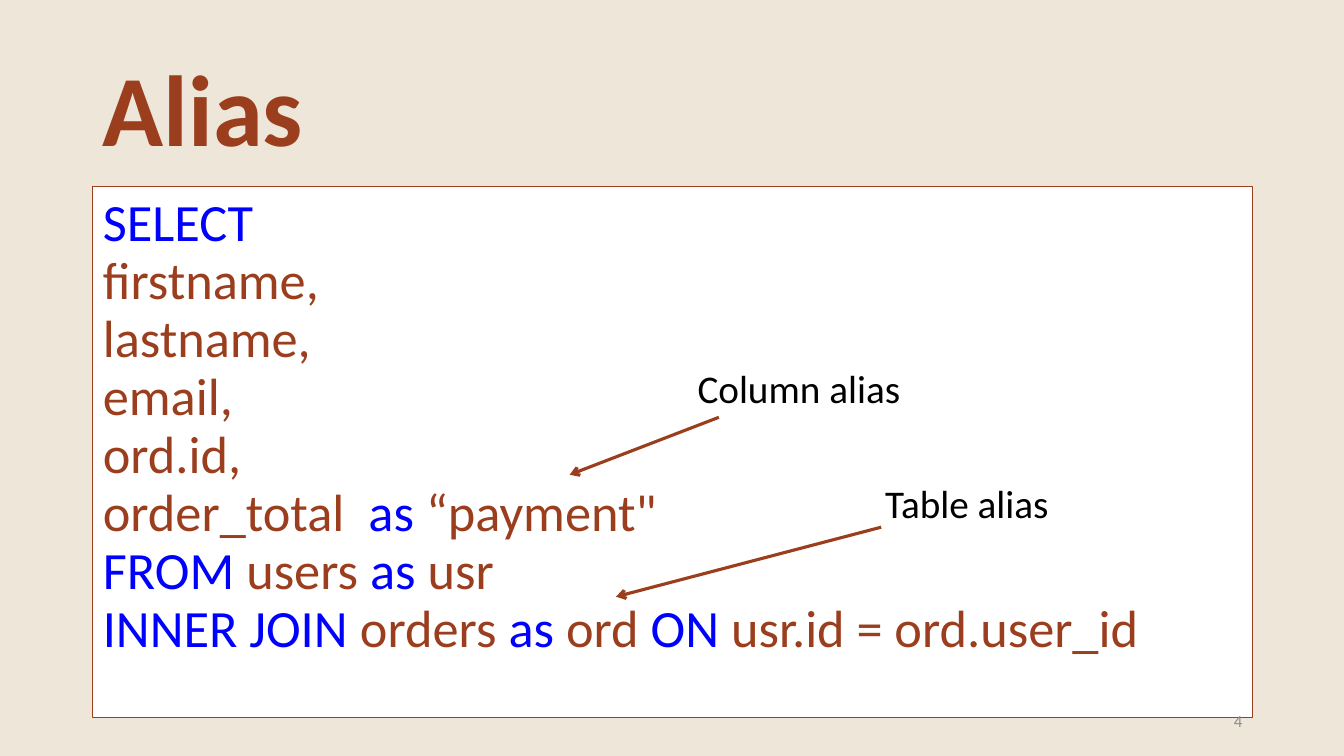
from lxml.etree import SubElement
from pptx import Presentation
from pptx.dml.color import RGBColor
from pptx.enum.shapes import MSO_CONNECTOR, MSO_SHAPE
from pptx.enum.text import MSO_ANCHOR, MSO_AUTO_SIZE, PP_ALIGN
from pptx.oxml.ns import qn
from pptx.util import Inches, Pt

SAND = RGBColor(0xEE, 0xE6, 0xD9)
RUST = RGBColor(0x9B, 0x3E, 0x1E)
BLUE = RGBColor(0x00, 0x00, 0xFF)
WHITE = RGBColor(0xFF, 0xFF, 0xFF)
BLACK = RGBColor(0x00, 0x00, 0x00)
GRAY = RGBColor(0x8C, 0x8C, 0x8C)
FONT = "Calibri"

KEYWORDS = {"SELECT", "FROM", "INNER JOIN", "as", "ON"}
QUERY = [
    ["SELECT"],
    ["firstname,"],
    ["lastname,"],
    ["email,"],
    ["ord.id,"],
    ["order_total", "  as ", "“payment\""],
    ["FROM ", "users", " as ", "usr"],
    ["INNER JOIN ", "orders", " as ", "ord", " ON ", "usr.id = ord.user_id"],
]
# Label, its place, and its arrow's start and end, relative to the panel
CALLOUTS = [
    ("Table alias", (7.76, 2.86), (7.82, 3.38), (5.19, 4.07)),
    ("Column alias", (5.9, 1.72), (6.21, 2.29), (4.73, 2.86)),
]


def place(sp, left, top, width, height):
    sp.left, sp.top = Inches(left), Inches(top)
    sp.width, sp.height = Inches(width), Inches(height)


def style(r, size, color, bold=False):
    r.font.name, r.font.size, r.font.bold = FONT, Pt(size), bold
    r.font.color.rgb = color


def add_label(slide, text, box, size, color):
    sp = slide.shapes.add_textbox(*map(Inches, box))
    tf = sp.text_frame
    tf.word_wrap = True
    p = tf.paragraphs[0]
    p.text = text
    style(p.runs[0], size, color)
    return tf


def add_arrow(slide, start, end):
    line = slide.shapes.add_connector(
        MSO_CONNECTOR.STRAIGHT, *map(Inches, (*start, *end)))
    line.line.color.rgb = RUST
    line.line.width = Pt(2.25)
    SubElement(line.line._get_or_add_ln(), qn("a:tailEnd"), type="arrow")
    SubElement(line._element.spPr, qn("a:effectLst"))


def fill_title(slide, text, box):
    sp = slide.shapes.title
    place(sp, *box)
    tf = sp.text_frame
    tf.text = text
    tf.auto_size = MSO_AUTO_SIZE.NONE
    tf.vertical_anchor = MSO_ANCHOR.MIDDLE
    p = tf.paragraphs[0]
    p.alignment, p.line_spacing = PP_ALIGN.LEFT, 0.9
    style(p.runs[0], 72, RUST, bold=True)


def add_panel(slide, box):
    sp = slide.shapes.add_shape(MSO_SHAPE.RECTANGLE, *map(Inches, box))
    sp.shadow.inherit = False
    sp.fill.solid()
    sp.fill.fore_color.rgb = WHITE
    sp.line.color.rgb = RUST
    sp.line.width = Pt(0.5)
    # Behind the title and the query
    slide.shapes._spTree.insert(2, sp._element)


def fill_query(slide, lines, box):
    sp = slide.placeholders[1]
    place(sp, *box)
    tf = sp.text_frame
    tf.auto_size = MSO_AUTO_SIZE.NONE
    for i, parts in enumerate(lines):
        p = tf.add_paragraph() if i else tf.paragraphs[0]
        p.line_spacing, p.space_before = 0.7, Pt(10)
        pPr = p._p.get_or_add_pPr()
        pPr.set("marL", "0")
        pPr.set("indent", "0")
        SubElement(pPr, qn("a:buNone"))
        for part in parts:
            r = p.add_run()
            r.text = part
            style(r, 37.4, BLUE if part.strip() in KEYWORDS else RUST)


def add_callouts(slide, left, top):
    def shift(point):
        return left + point[0], top + point[1]

    for text, spot, start, end in CALLOUTS:
        add_label(slide, text, (*shift(spot), 2.96, 0.57), 28, BLACK)
        add_arrow(slide, shift(start), shift(end))


def add_slide_number(slide, number, box):
    tf = add_label(slide, number, box, 12, GRAY)
    tf.vertical_anchor = MSO_ANCHOR.MIDDLE
    tf.paragraphs[0].alignment = PP_ALIGN.RIGHT


def build_code_slide(prs, left, width):
    slide = prs.slides.add_slide(prs.slide_layouts[1])
    slide.background.fill.solid()
    slide.background.fill.fore_color.rgb = SAND
    panel_top = 1.85
    fill_title(slide, "Alias", (left, 0.4, width, 1.45))
    add_panel(slide, (left, panel_top, width, 5.27))
    fill_query(slide, QUERY, (left, panel_top + 0.15, width, 4.76))
    add_slide_number(slide, "4", (left + width - 3, 6.95, 3, 0.4))
    add_callouts(slide, left, panel_top)


prs = Presentation()
prs.slide_width, prs.slide_height = Inches(13.33), Inches(7.5)
build_code_slide(prs, left=0.92, width=11.5)
prs.save("out.pptx")
